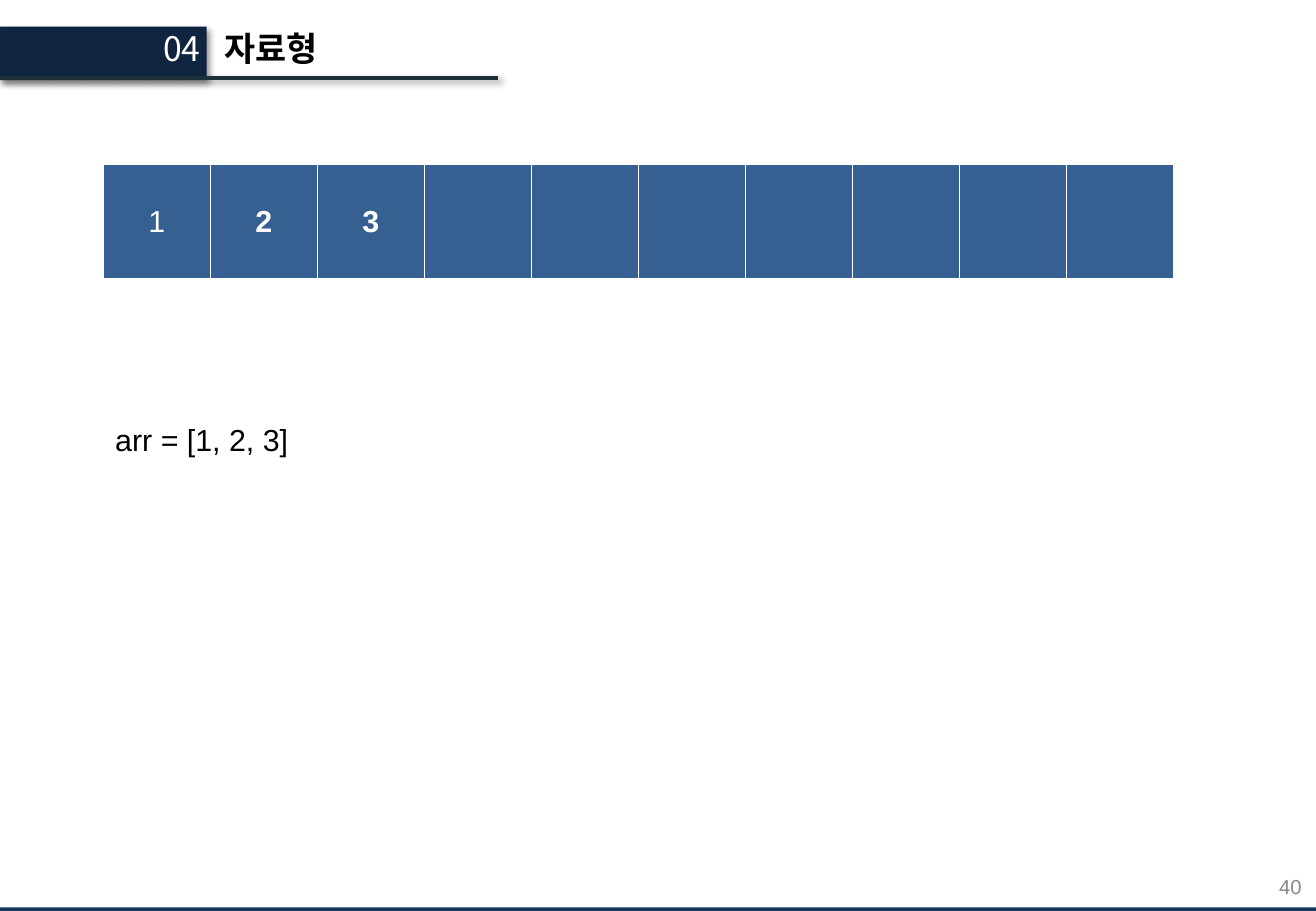
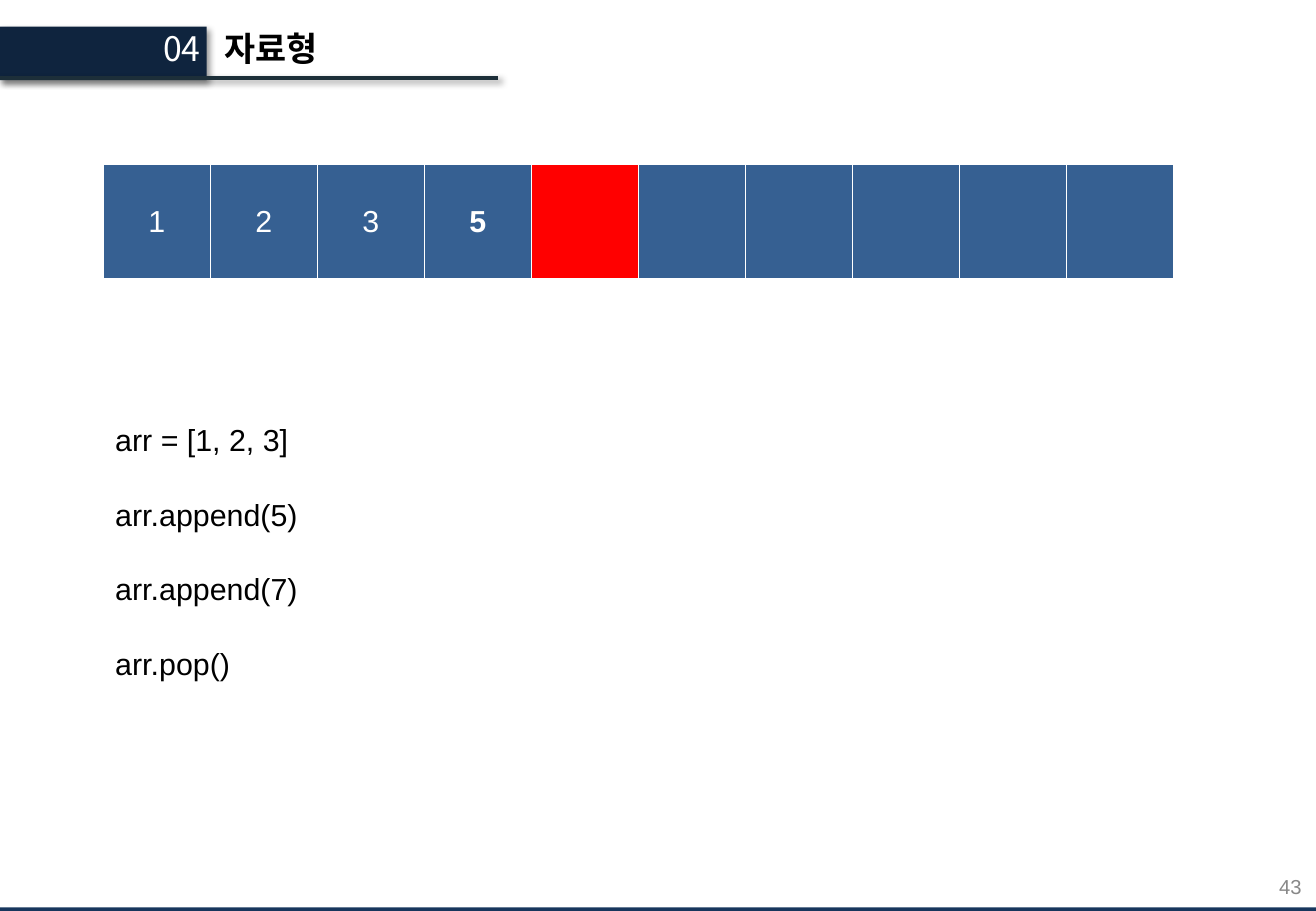
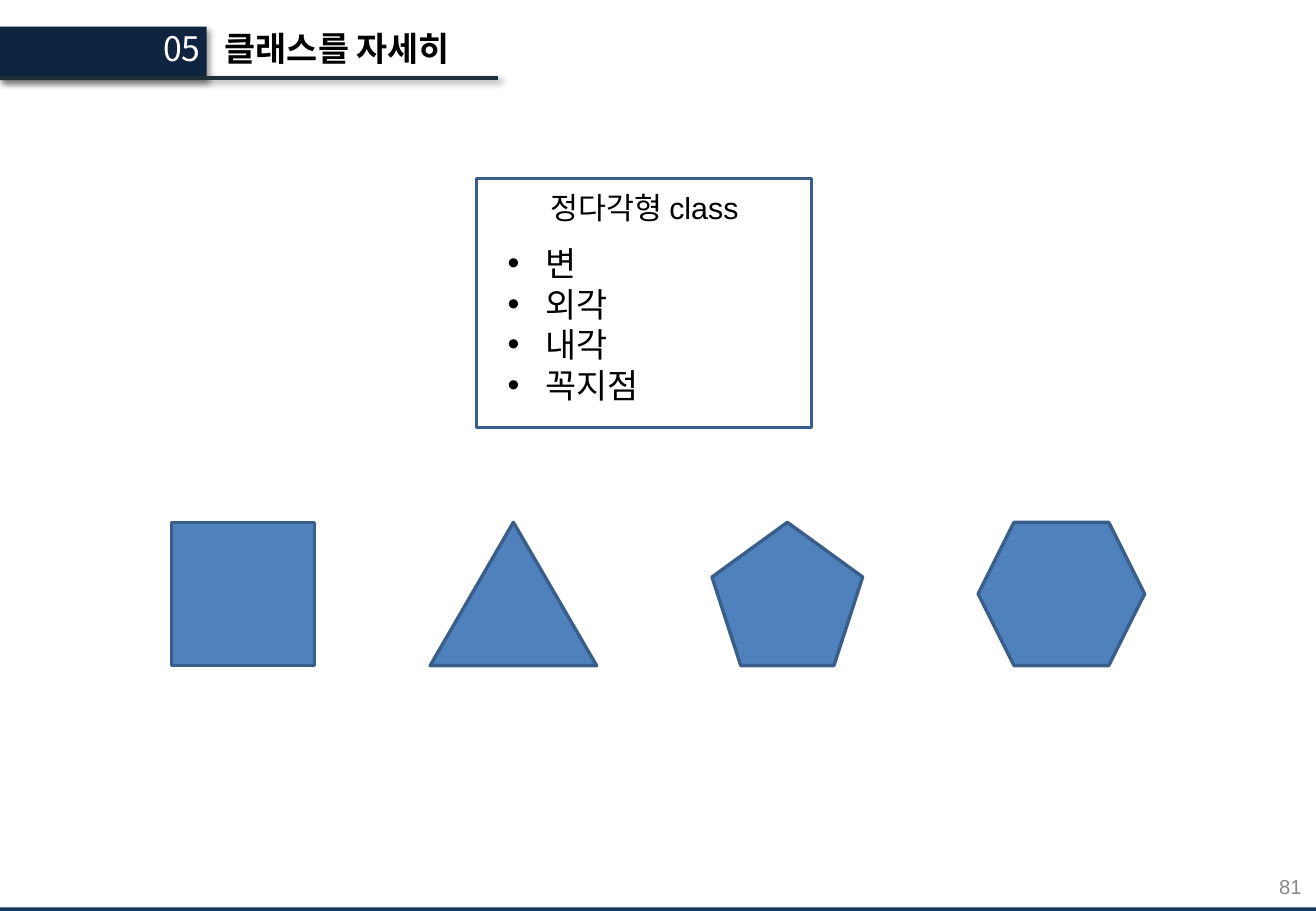
import dataclasses

import lxml.etree
import pptx
import pptx.dml.color
import pptx.enum.shapes
import pptx.enum.text
import pptx.oxml.ns
import pptx.util

Inches = pptx.util.Inches
Pt = pptx.util.Pt
qn = pptx.oxml.ns.qn
SHAPE = pptx.enum.shapes.MSO_SHAPE
ALIGN = pptx.enum.text.PP_ALIGN
ANCHOR = pptx.enum.text.MSO_ANCHOR


@dataclasses.dataclass(frozen=True)
class Theme:
    body: str = "Arial"
    head: str = "Noto Sans CJK KR"
    black: str = "000000"
    white: str = "FFFFFF"
    gray: str = "888888"
    navy: str = "0F243E"
    foot: str = "17365D"
    rule: str = "1D2F39"
    cell: str = "366092"
    red: str = "FF0000"
    blue: str = "4F81BD"
    edge: str = "395E89"
    big: int = 20
    mid: int = 18
    small: int = 12


T = Theme()


def rgb(code):
    return pptx.dml.color.RGBColor.from_string(code)


def sub(node, tag, **attrs):
    return lxml.etree.SubElement(node, qn(tag), **attrs)


def style(para, size, color=T.black, font=T.body, bold=False, align=None):
    para.alignment = align
    for run in para.runs:
        run.font.size = Pt(size)
        run.font.bold = bold
        run.font.color.rgb = rgb(color)
        run.font.name = font
        sub(run.font._element, "a:ea", typeface=T.head)


def place(shape, box):
    shape.left, shape.top, shape.width, shape.height = map(Inches, box)


def text(slide, box, lines, size, wrap=True, **look):
    frame = slide.shapes.add_textbox(*map(Inches, box)).text_frame
    frame.word_wrap = wrap
    frame.text = "\n".join(lines)
    for para in frame.paragraphs:
        style(para, size, **look)
    return frame


def block(slide, kind, box, fill=None, edge=None):
    shape = slide.shapes.add_shape(kind, *map(Inches, box))
    shape.shadow.inherit = False
    if fill:
        shape.fill.solid()
        shape.fill.fore_color.rgb = rgb(fill)
    else:
        shape.fill.background()
    if edge:
        shape.line.color.rgb = rgb(edge)
        shape.line.width = Pt(2)
    else:
        shape.line.fill.background()
    return shape


def shade(shape):
    """Give a shape or connector the soft shadow of the header."""
    props = shape._element.spPr
    effects = props.find(qn("a:effectLst"))
    if effects is None:
        effects = sub(props, "a:effectLst")
    outer = sub(effects, "a:outerShdw", blurRad=str(Pt(4)), dist=str(Pt(3)),
                dir=str(45 * 60000), algn="tl", rotWithShape="0")
    color = sub(outer, "a:srgbClr", val=T.black)
    sub(color, "a:alpha", val="40000")


def header(slide, box, part, title):
    left, top, width, height = box
    shade(block(slide, SHAPE.RECTANGLE, box, T.navy))
    label = text(slide, (left + 1.25, top, 0.51, height), [part], T.big,
                 wrap=False, color=T.white, font=T.head, align=ALIGN.RIGHT)
    label.paragraphs[0].line_spacing = 0.9

    y = Inches(top + 0.42)
    rule = slide.shapes.add_connector(
        pptx.enum.shapes.MSO_CONNECTOR.STRAIGHT,
        Inches(left), y, Inches(left + 4.11), y)
    rule.line.color.rgb = rgb(T.rule)
    rule.line.width = Pt(2.25)
    shade(rule)

    name = slide.shapes.title
    place(name, (left + width + 0.05, top, 5.79, height))
    frame = name.text_frame
    frame.text = title
    frame.auto_size = pptx.enum.text.MSO_AUTO_SIZE.NONE
    frame.vertical_anchor = ANCHOR.TOP
    para = frame.paragraphs[0]
    style(para, T.big, font=T.head, bold=True, align=ALIGN.LEFT)
    para.line_spacing = 0.9


def footer(slide, box, number):
    left, top, width, height = box
    block(slide, SHAPE.RECTANGLE, (left, top, width, height), T.foot)
    frame = text(slide, (left + 8.38, top - 0.37, 2.53, 0.4), [number],
                 T.small, color=T.gray, align=ALIGN.RIGHT)
    frame.vertical_anchor = ANCHOR.MIDDLE


def border(cell):
    props = cell._tc.get_or_add_tcPr()
    sides = (("a:lnL", 1), ("a:lnR", 1), ("a:lnT", 1), ("a:lnB", 3))
    for at, (tag, width) in enumerate(sides):
        line = lxml.etree.Element(qn(tag), w=str(Pt(width)))
        sub(sub(line, "a:solidFill"), "a:srgbClr", val=T.white)
        props.insert(at, line)


def array(slide, box, values, bold, freed, count=10):
    """Draw a row of memory cells; bold and freed hold cell indexes."""
    table = slide.shapes.add_table(1, count, *map(Inches, box)).table
    table.first_row = table.horz_banding = False
    for at, cell in enumerate(table.iter_cells()):
        table.columns[at].width = Inches(box[2] / count)
        cell.fill.solid()
        cell.fill.fore_color.rgb = rgb(T.red if at in freed else T.cell)
        border(cell)
        cell.vertical_anchor = ANCHOR.MIDDLE
        if at < len(values):
            cell.text = values[at]
            style(cell.text_frame.paragraphs[0], T.mid, T.white,
                  bold=at in bold, align=ALIGN.CENTER)


def code(slide, box, lines):
    frame = text(slide, box, lines, T.mid)
    for para in frame.paragraphs[1:]:
        para.space_before = Pt(22.6)


def card(slide, box, title, items):
    """Draw a class box with its name and bulleted fields."""
    left, top, width, height = box
    block(slide, SHAPE.RECTANGLE, box, edge=T.edge)
    frame = text(slide, (left + 0.16, top + 0.48, width - 0.32, 1.45),
                 items, T.big)
    for para in frame.paragraphs:
        props = para._p.get_or_add_pPr()
        props.set("marL", str(Inches(0.31)))
        props.set("indent", str(Inches(-0.31)))
        sub(sub(props, "a:buClr"), "a:srgbClr", val=T.black)
        sub(props, "a:buFont", typeface=T.body)
        sub(props, "a:buChar", char="•")
        para.line_spacing = Pt(24)
    name = text(slide, (left + 0.32, top + 0.03, 2.13, 0.4), [title],
                T.mid, align=ALIGN.CENTER)
    name.paragraphs[0].line_spacing = Pt(22)


def shapes(slide, box):
    left, top, _, height = box
    row = ((SHAPE.RECTANGLE, 0, 1.18), (SHAPE.ISOSCELES_TRIANGLE, 2.13, 1.37),
           (SHAPE.REGULAR_PENTAGON, 4.45, 1.24), (SHAPE.HEXAGON, 6.64, 1.37))
    for kind, shift, width in row:
        block(slide, kind, (left + shift, top, width, height), T.blue, T.edge)


def page(deck, part, title, number):
    slide = deck.slides.add_slide(deck.slide_layouts[5])
    footer(slide, (-0.1, 7.47, 11.03, 0.09), number)
    header(slide, (-0.01, 0.22, 1.71, 0.44), part, title)
    return slide


def memory(deck, number, values, lines, bold, freed=()):
    slide = page(deck, "04", "자료형", number)
    array(slide, (0.85, 1.35, 8.81, 0.96), values, bold, freed)
    code(slide, (0.85, 3.42, 8.82, 0.4 + 0.6 * (len(lines) - 1)), lines)


def polygons(deck, number):
    slide = page(deck, "05", "클래스를 자세히", number)
    shapes(slide, (1.41, 4.3, 8.01, 1.18))
    card(slide, (3.92, 1.47, 2.76, 2.05), "정다각형 class",
         ["변", "외각", "내각", "꼭지점"])


def main():
    deck = pptx.Presentation()
    deck.slide_width, deck.slide_height = Inches(10.83), Inches(7.5)
    memory(deck, "40", "123", ["arr = [1, 2, 3]"], bold=(1, 2))
    memory(deck, "43", "1235",
           ["arr = [1, 2, 3]", "arr.append(5)", "arr.append(7)", "arr.pop()"],
           bold=(3,), freed=(4,))
    polygons(deck, "81")
    deck.save("out.pptx")


if __name__ == "__main__":
    main()
